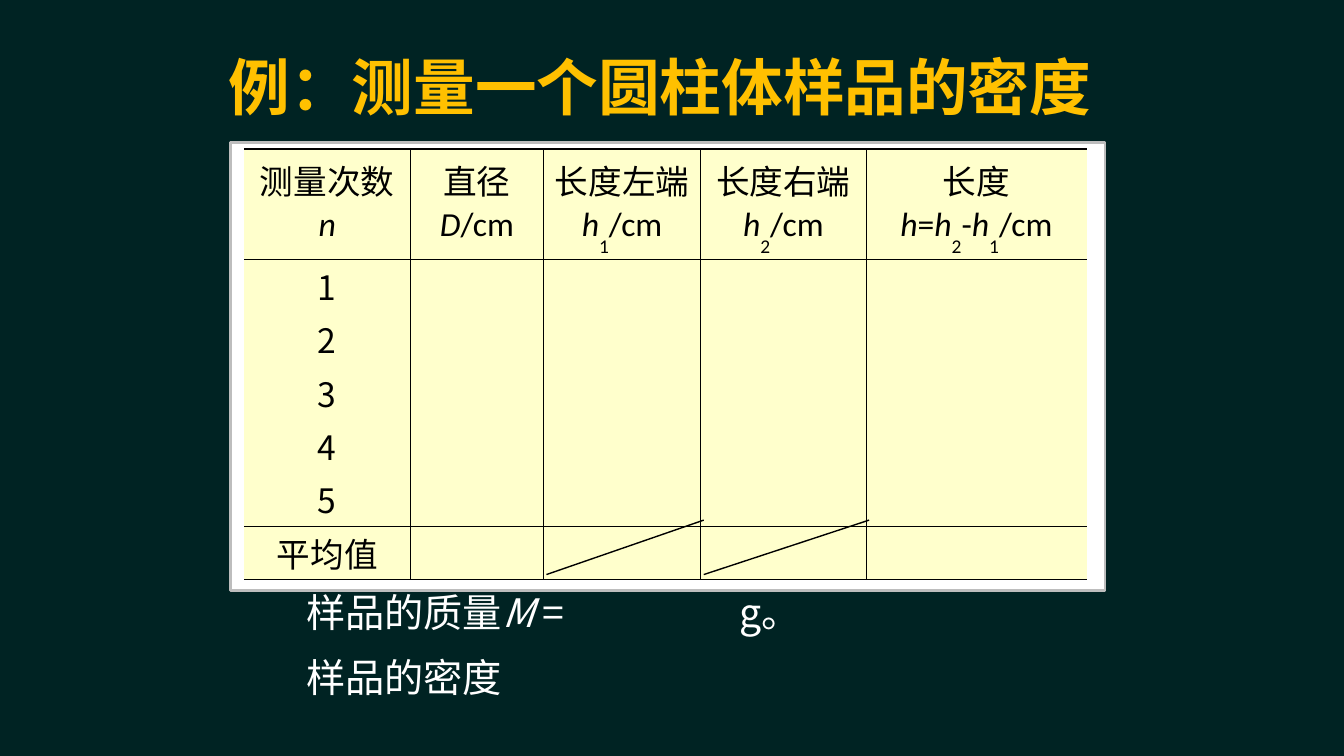
from lxml import etree
from pptx import Presentation
from pptx.dml.color import RGBColor
from pptx.enum.shapes import MSO_CONNECTOR, MSO_SHAPE
from pptx.enum.text import MSO_ANCHOR, PP_ALIGN
from pptx.oxml.ns import qn
from pptx.util import Inches, Pt

LINE, RECT = MSO_CONNECTOR.STRAIGHT, MSO_SHAPE.RECTANGLE
TOP, MID, BOTTOM = MSO_ANCHOR.TOP, MSO_ANCHOR.MIDDLE, MSO_ANCHOR.BOTTOM
CENTER, LEFT = PP_ALIGN.CENTER, PP_ALIGN.LEFT

COLORS = {"back": "002323", "gold": "FFC000", "white": "FFFFFF",
          "edge": "BDBDBD", "cell": "FFFFCC", "ink": "000000"}
HAN, LATIN = "Noto Sans CJK SC", "Calibri"

# Runs are (text, style): i italic, s subscript, u underline, b bold
HEADS = ["测量次数", "直径", "长度左端", "长度右端", "长度"]
UNITS = [
    [("n", "i")],
    [("D/", "i"), ("cm", "")],
    [("h", "i"), ("1", "s"), ("/cm", "")],
    [("h", "i"), ("2", "s"), ("/cm", "")],
    [("h", "i"), ("=", ""), ("h", "i"), ("2", "s"),
     ("-", ""), ("h", "i"), ("1", "s"), ("/cm", "")],
]
UNITS[1] = [("D", "i"), ("/cm", "")]
LABELS = ["1", "2", "3", "4", "5", "平均值"]
MASS = [("样品的质量", ""), ("M ", "i"), ("=", ""), ("\t", "u"), ("g。", "")]
COLS = [1.65, 1.32, 1.56, 1.64, 2.19]
ROWS = [0.55, 0.47] + [0.53] * len(LABELS)
RULES = {1: 0.5, 6: 0.5, 7: 1.5}  # row: width of the rule below it


def color(name):
    return RGBColor.from_string(COLORS[name])


def add_runs(para, runs, size, tint, face=HAN):
    for text, style in runs:
        run = para.add_run()
        run.text = text
        font = run.font
        font.size, font.name = Pt(size), face
        font.color.rgb = color(tint)
        font.bold, font.italic = "b" in style, "i" in style
        font.underline = "u" in style
        props = run._r.get_or_add_rPr()
        etree.SubElement(props, qn("a:ea")).set("typeface", HAN)
        if "s" in style:
            props.set("baseline", "-50000")


def add_text(slide, box, lines, size, tint, anchor=TOP):
    frame = slide.shapes.add_textbox(*map(Inches, box)).text_frame
    frame.word_wrap = True
    frame.vertical_anchor = anchor
    for n, runs in enumerate(lines):
        para = frame.paragraphs[0] if n == 0 else frame.add_paragraph()
        para.alignment = LEFT
        add_runs(para, runs, size, tint)
    return frame.paragraphs


def add_tab(para, pos):
    tabs = etree.SubElement(para._p.get_or_add_pPr(), qn("a:tabLst"))
    tab = etree.SubElement(tabs, qn("a:tab"))
    tab.set("pos", str(Inches(pos)))
    tab.set("algn", "l")


def add_panel(slide, box):
    panel = slide.shapes.add_shape(RECT, *map(Inches, box))
    panel.shadow.inherit = False
    panel.fill.solid()
    panel.fill.fore_color.rgb = color("white")
    panel.line.color.rgb = color("edge")
    panel.line.width = Pt(2)


def add_slash(slide, left, right, low, high):
    slash = slide.shapes.add_connector(
        LINE, Inches(left), Inches(low), Inches(right), Inches(high))
    slash.line.color.rgb = color("ink")
    slash.line.width = Pt(1)
    etree.SubElement(slash._element.spPr, qn("a:effectLst"))


def set_edges(cell, widths):
    props = cell._tc.get_or_add_tcPr()
    for side in "LRTB":
        width = widths.get(side, 0)
        edge = etree.SubElement(props, qn("a:ln" + side))
        edge.set("w", str(Pt(width)))
        if width:
            fill = etree.SubElement(edge, qn("a:solidFill"))
            etree.SubElement(fill, qn("a:srgbClr")).set("val", COLORS["ink"])
        else:
            etree.SubElement(edge, qn("a:noFill"))


def style_cell(cell, row, col):
    widths = {"T": RULES.get(row - 1, 0) if row else 1.5,
              "B": RULES.get(row, 0),
              "L": 0.5 if col else 0,
              "R": 0.5 if col < len(COLS) - 1 else 0}
    set_edges(cell, widths)
    cell.fill.solid()
    cell.fill.fore_color.rgb = color("cell")
    cell.margin_left = cell.margin_right = 0
    cell.margin_top = cell.margin_bottom = 0


def fill_cell(cell, runs, anchor, face=HAN):
    cell.vertical_anchor = anchor
    para = cell.text_frame.paragraphs[0]
    para.alignment = CENTER
    add_runs(para, runs, 24, "ink", face)


def add_grid(slide, left, top):
    grid = slide.shapes.add_table(
        len(ROWS), len(COLS), Inches(left), Inches(top),
        Inches(sum(COLS)), Inches(sum(ROWS))).table
    grid.first_row = grid.horz_banding = False
    for col, width in enumerate(COLS):
        grid.columns[col].width = Inches(width)
    for row, height in enumerate(ROWS):
        grid.rows[row].height = Inches(height)
        for col in range(len(COLS)):
            style_cell(grid.cell(row, col), row, col)
    for col, (head, unit) in enumerate(zip(HEADS, UNITS)):
        fill_cell(grid.cell(0, col), [(head, "")], BOTTOM)
        fill_cell(grid.cell(1, col), unit, TOP, LATIN)
    for row, label in enumerate(LABELS, 2):
        fill_cell(grid.cell(row, 0), [(label, "")], MID)


def main():
    deck = Presentation()
    deck.slide_width, deck.slide_height = Inches(13.33), Inches(7.5)
    slide = deck.slides.add_slide(deck.slide_layouts[6])
    slide.background.fill.solid()
    slide.background.fill.fore_color.rgb = color("back")

    # Title
    add_panel(slide, (2.29, 1.41, 8.67, 4.45))
    title = [("例：测量一个圆柱体样品的密度", "b")]
    add_text(slide, (2.17, 0.23, 9, 1.25), [title], 44, "gold", MID)

    # Mass and density lines, with a blank to fill in
    paras = add_text(slide, (2.94, 5.86, 6.46, 1.3),
                     [MASS, [("样品的密度", "")]], 28, "white")
    for para in paras:
        para.space_before = Pt(18)
        para.line_spacing = 0.85
    add_tab(paras[0], 4.3)

    # Table, with the two unused averages struck out
    add_grid(slide, 2.42, 1.48)
    for left, right in ((5.42, 6.98), (6.98, 8.62)):
        add_slash(slide, left, right, 5.7, 5.16)

    deck.save("out.pptx")


if __name__ == "__main__":
    main()
